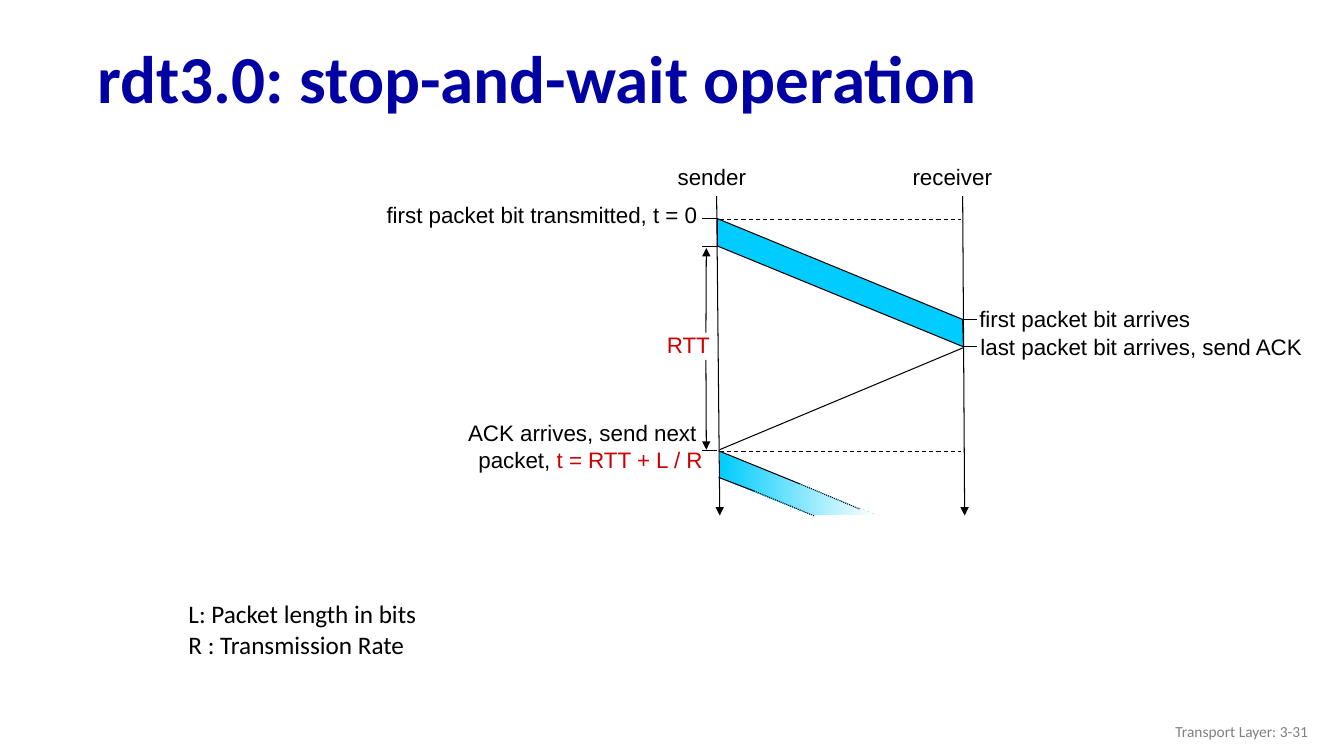
from lxml import etree
from pptx import Presentation
from pptx import util as u
from pptx.dml.color import RGBColor
from pptx.enum import dml, shapes, text
from pptx.oxml.ns import qn

COLORS = {
    "title": "0000A3",
    "ink": "000000",
    "accent": "CC0000",
    "packet": "00CCFF",
    "paper": "FFFFFF",
    "footer": "808080",
}

# Timeline positions in cm
SENDER_X, RECEIVER_X = 18.08, 24.28
FIRST_SENT, LAST_SENT = 5.51, 6.2
FIRST_ARRIVES, LAST_ARRIVES = 8.05, 8.74
ACK_ARRIVES, NEXT_LAST_SENT = 11.36, 12.03
AXIS_TOP, AXIS_END = 4.94, 12.99


def color(name):
    return RGBColor.from_string(COLORS[name])


def add_text(page, lines, left, top, width, height, size=16, font="Arial",
             ink="ink", bold=False, align="LEFT", anchor="TOP", fill=None,
             spacing=None):
    """Each line is a list of (wording, colour name or None) spans."""
    box = page.shapes.add_textbox(u.Cm(left), u.Cm(top), u.Cm(width), u.Cm(height))
    if fill:
        box.fill.solid()
        box.fill.fore_color.rgb = color(fill)
    frame = box.text_frame
    frame.word_wrap = True
    frame.vertical_anchor = getattr(text.MSO_ANCHOR, anchor)
    for index, spans in enumerate(lines):
        para = frame.add_paragraph() if index else frame.paragraphs[0]
        para.alignment = getattr(text.PP_ALIGN, align)
        if spacing:
            para.line_spacing = spacing
        for wording, span_ink in spans:
            span = para.add_run()
            span.text = wording
            span.font.name = font
            span.font.size = u.Pt(size)
            span.font.bold = bold
            span.font.color.rgb = color(span_ink or ink)
    return box


def add_line(page, x1, y1, x2, y2, dash=None, arrow=False):
    line = page.shapes.add_connector(
        shapes.MSO_CONNECTOR.STRAIGHT, u.Cm(x1), u.Cm(y1), u.Cm(x2), u.Cm(y2))
    line.line.color.rgb = color("ink")
    line.line.width = u.Pt(0.75)
    if dash:
        line.line.dash_style = dash
    if arrow:
        etree.SubElement(line.line._get_or_add_ln(), qn("a:tailEnd"), type="triangle")
    etree.SubElement(line._element.spPr, qn("a:effectLst"))
    return line


def add_band(page, points, fading=False):
    """Draw a packet in flight: solid and outlined, or fading to the right."""
    start, *rest = [(u.Cm(x), u.Cm(y)) for x, y in points]
    builder = page.shapes.build_freeform(*start, scale=1.0)
    builder.add_line_segments(rest, close=True)
    band = builder.convert_to_shape()
    band.shadow.inherit = False
    if fading:
        band.fill.gradient()
        band.fill.gradient_angle = 0
        for stop, position, name in zip(band.fill.gradient_stops, (0, 1), ("packet", "paper")):
            stop.position = position
            stop.color.rgb = color(name)
        band.line.fill.background()
    else:
        band.fill.solid()
        band.fill.fore_color.rgb = color("packet")
        band.line.color.rgb = color("ink")
        band.line.width = u.Pt(0.75)
    return band


def add_timeline(page):
    # Labels behind the lines
    for wording, left, top, width in (
            ("first packet bit transmitted, t = 0", 8.86, 4.95, 8.97),
            ("sender", 16.59, 3.99, 2.46),
            ("receiver", 22.63, 3.99, 2.62)):
        add_text(page, [[(wording, None)]], left, top, width, 0.97,
                 align="RIGHT", fill="paper")

    # Time axes
    add_line(page, SENDER_X - 0.02, AXIS_TOP, SENDER_X + 0.06, AXIS_END, arrow=True)
    add_line(page, RECEIVER_X - 0.02, AXIS_TOP, RECEIVER_X + 0.03, AXIS_END, arrow=True)

    # Dashed levels and the returning ACK
    for y in (FIRST_SENT + 0.02, ACK_ARRIVES + 0.02):
        add_line(page, SENDER_X + 0.06, y, RECEIVER_X - 0.06, y,
                 dash=dml.MSO_LINE.DASH)
    add_line(page, RECEIVER_X, LAST_ARRIVES + 0.02, SENDER_X + 0.06, ACK_ARRIVES - 0.03)

    # First packet
    add_band(page, [(SENDER_X, FIRST_SENT), (RECEIVER_X - 0.02, FIRST_ARRIVES),
                    (RECEIVER_X, LAST_ARRIVES), (SENDER_X, LAST_SENT)])

    # Ticks at the events
    for y in (FIRST_SENT, LAST_SENT, ACK_ARRIVES):
        add_line(page, SENDER_X - 0.02, y, SENDER_X - 0.4, y)
    for y in (FIRST_ARRIVES, LAST_ARRIVES):
        add_line(page, RECEIVER_X, y, RECEIVER_X + 0.34, y)

    # Round-trip time
    add_text(page, [[("RTT", "accent")]], 15.88, 8.23, 2.26, 0.94, align="RIGHT")
    add_line(page, 17.79, 9.07, 17.8, 11.33, arrow=True)
    add_line(page, 17.79, 8.38, 17.8, 6.25, arrow=True)

    # Event labels
    add_text(page, [[("first packet bit arrives", None)]], 24.43, 7.57, 6.73, 0.99)
    add_text(page, [[("last packet bit arrives, send ACK", None)]],
             24.46, 8.28, 8.66, 1.57)
    add_text(page, [[("ACK arrives, send next ", None)],
                    [("packet, ", None), ("t = RTT + L / R", "accent")]],
             10.49, 10.44, 7.47, 1.75, align="RIGHT")

    # Next packet, its edges running out into dots
    add_band(page, [(18.14, 11.38), (22.07, 12.98), (20.47, 12.98), (18.14, 12.04)],
             fading=True)
    for top, middle, end in (
            (ACK_ARRIVES, (20.15, 12.19), (21.67, 12.83)),
            (NEXT_LAST_SENT, (19.0, 12.37), (20.52, 13.0))):
        add_line(page, SENDER_X + 0.03, top, *middle)
        add_line(page, *middle, *end, dash=dml.MSO_LINE.ROUND_DOT)


def main():
    deck = Presentation()
    deck.slide_width, deck.slide_height = u.Cm(33.87), u.Cm(19.05)
    page = deck.slides.add_slide(deck.slide_layouts[6])

    # Title
    add_text(page, [[("rdt3.0: stop-and-wait operation", None)]],
             2.21, 0.81, 30.84, 2.49, size=48, font="Calibri", ink="title",
             bold=True, anchor="MIDDLE", spacing=0.9)

    add_timeline(page)

    # Footer and legend
    add_text(page, [[("Transport Layer: 3-31", None)]], 25.6, 17.91, 7.62, 1.02,
             size=11, font="Calibri", ink="footer", align="RIGHT", anchor="MIDDLE")
    add_text(page, [[("L: Packet length in bits", None)],
                    [("R : Transmission Rate", None)]],
             4.5, 14.96, 10.19, 1.8, size=18, font="Calibri")

    deck.save("out.pptx")


if __name__ == "__main__":
    main()
